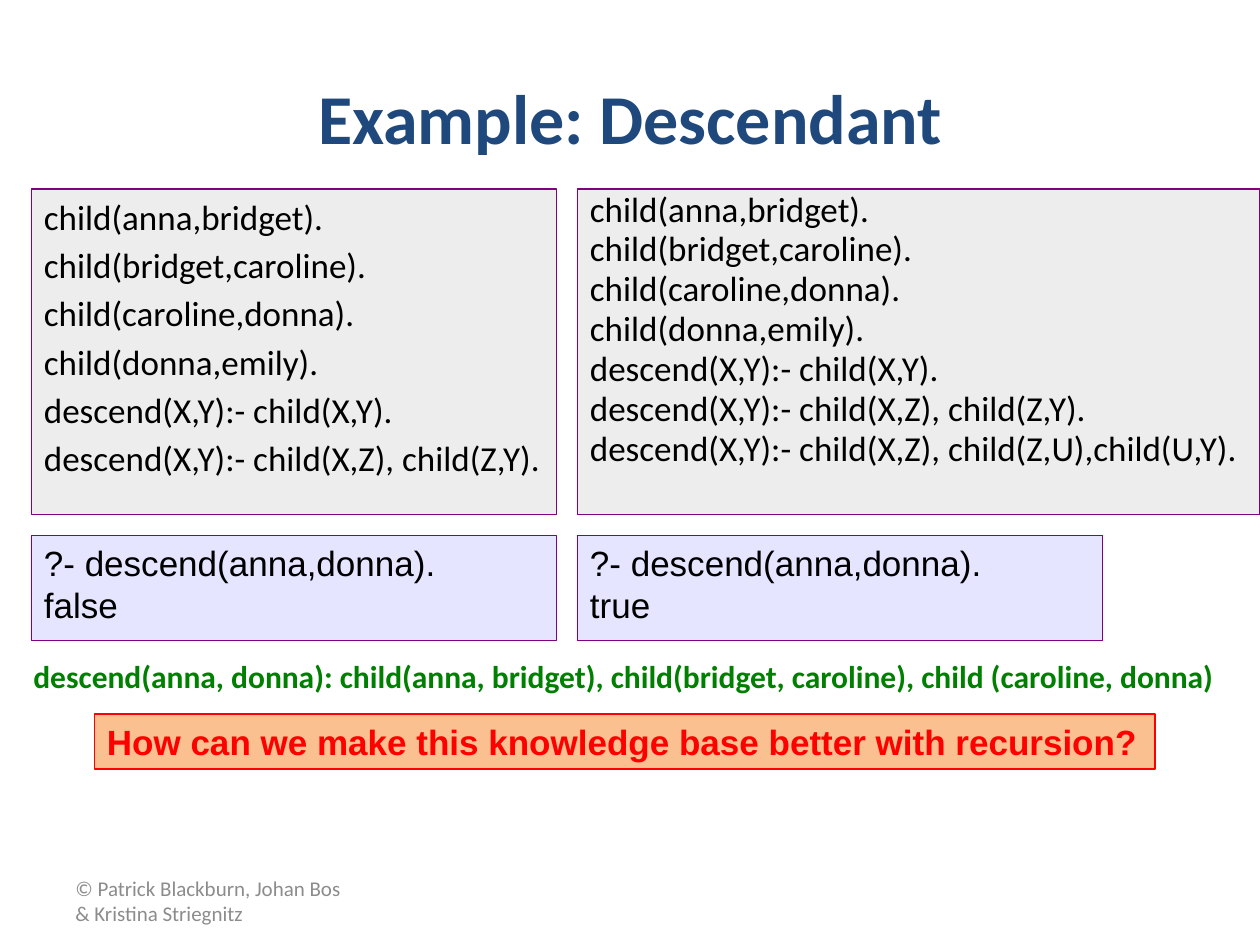
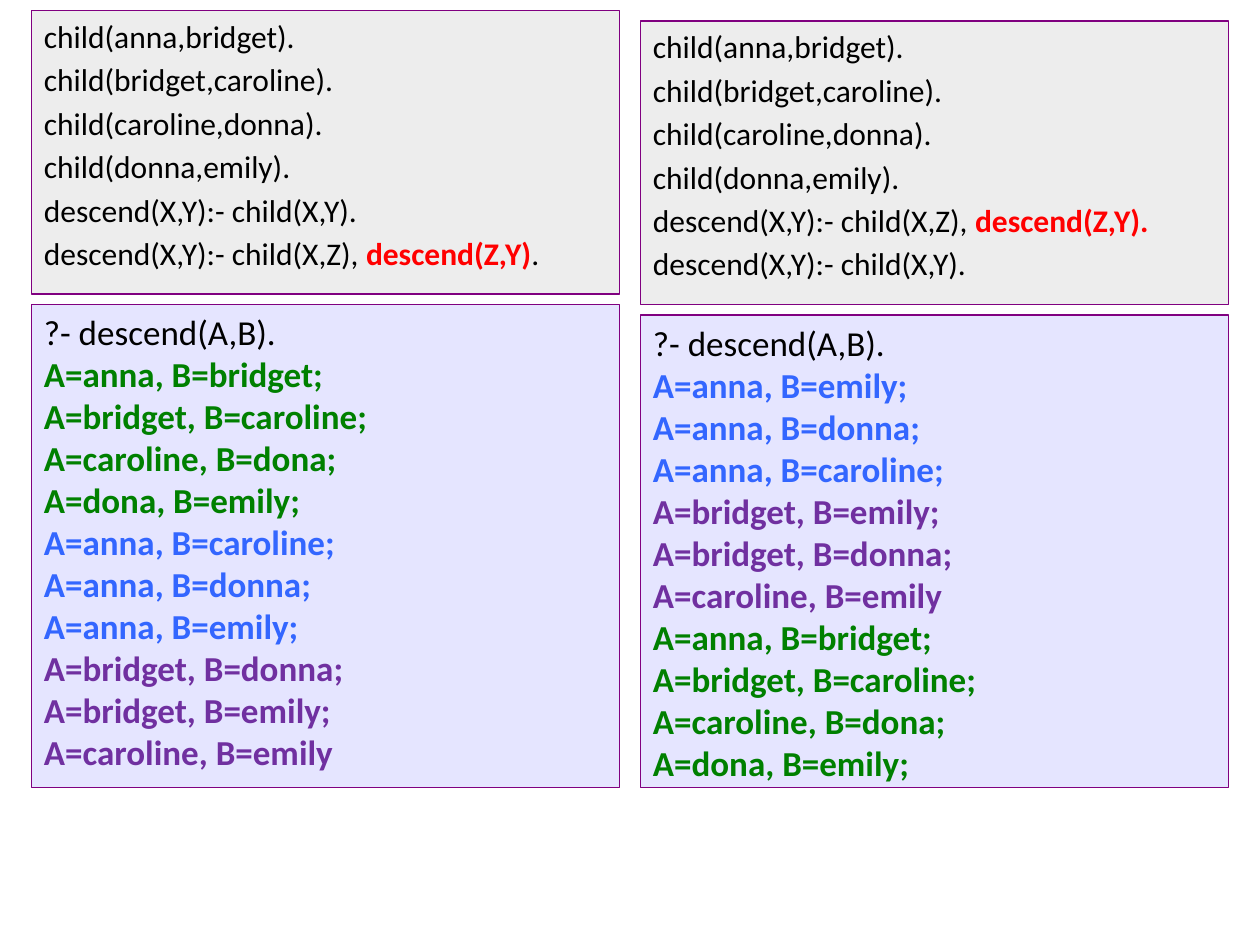
from pptx import Presentation
from pptx.util import Pt
from pptx.dml.color import RGBColor as Rgb
from pptx.enum.shapes import MSO_SHAPE as Shape
from pptx.enum.text import MSO_ANCHOR as Anchor, PP_ALIGN as Align
from pptx.oxml.ns import qn
from lxml.etree import SubElement

COLORS = {
    "black": "000000", "title": "1F497D", "foot": "8C8C8C",
    "code": "DDDDDD", "query": "CCCCFF", "ask": "FAC090",
    "edge": "800080", "red": "FF0000", "green": "008000",
    "blue": "3366FF", "purple": "7030A0",
}


def color(name):
    return Rgb.from_string(COLORS[name])


class Deck:
    body = "Calibri"
    plain = "Arial"
    hang = 27

    def __init__(self):
        self.prs = Presentation()
        self.prs.slide_width, self.prs.slide_height = Pt(720), Pt(540)

    def page(self):
        self.slide = self.prs.slides.add_slide(self.prs.slide_layouts[6])

    def style(self, font, face, size, tone, bold):
        font.name, font.size, font.bold = face, Pt(size), bold
        font.color.rgb = color(tone)

    def put(self, shape, lines, size, face=body, gap=0, pitch=None, hang=0):
        frame = shape.text_frame
        for i, line in enumerate(lines):
            para = frame.add_paragraph() if i else frame.paragraphs[0]
            para.alignment = Align.LEFT
            para.space_before = Pt(gap)
            if pitch:
                para.line_spacing = pitch
            if hang:
                props = para._p.get_or_add_pPr()
                props.set("marL", str(Pt(hang)))
                props.set("indent", str(-Pt(hang)))
            parts = [(line, "black", False)] if isinstance(line, str) else line
            self.style(para.font, face, size, *parts[0][1:])
            for text, *look in parts:
                run = para.add_run()
                run.text = text
                if look != list(parts[0][1:]):
                    self.style(run.font, face, size, *look)

    def text(self, box, line, size, wrap=True, anchor=Anchor.TOP):
        shape = self.slide.shapes.add_textbox(*map(Pt, box))
        shape.text_frame.word_wrap = wrap
        shape.text_frame.vertical_anchor = anchor
        self.put(shape, [[line]], size)
        return shape

    def title(self, text):
        shape = self.text((36, 21.6, 648, 90), (text, "title", True), 40,
                          anchor=Anchor.MIDDLE)
        shape.text_frame.paragraphs[0].alignment = Align.CENTER

    def footer(self, text):
        self.text((36, 500.5, 168, 28.75), (text, "foot", False), 12,
                  anchor=Anchor.MIDDLE)

    def panel(self, box, fill, edge="edge", alpha=None):
        shape = self.slide.shapes.add_shape(Shape.RECTANGLE, *map(Pt, box))
        shape.shadow.inherit = False
        shape.fill.solid()
        shape.fill.fore_color.rgb = color(fill)
        if alpha:
            tint = shape._element.spPr.find(qn("a:solidFill"))[0]
            SubElement(tint, qn("a:alpha")).set("val", str(alpha * 1000))
        shape.line.color.rgb = color(edge)
        shape.line.width = Pt(0.75)
        shape.text_frame.word_wrap = True
        shape.text_frame.vertical_anchor = Anchor.TOP
        return shape

    def code(self, box, lines, size, pitch=None):
        self.put(self.panel(box, "code", alpha=50), lines, size,
                 gap=size * 0.18, pitch=pitch, hang=self.hang)

    def query(self, box, lines, face=body):
        self.put(self.panel(box, "query", alpha=50), lines, 20, face,
                 hang=self.hang)

    def ask(self, box, text):
        self.put(self.panel(box, "ask", "red"), [[(text, "red", True)]],
                 20, self.plain)


def answers(*groups):
    return ["?- descend(A,B)."] + [
        [(f"A={a}, B={b}", tone, True)]
        for tone, pairs in groups for a, b in pairs]


facts = [f"child({a},{b})." for a, b in (
    ("anna", "bridget"), ("bridget", "caroline"),
    ("caroline", "donna"), ("donna", "emily"))]
base = "descend(X,Y):- child(X,Y)."
step = "descend(X,Y):- child(X,Z), "
two = step + "child(Z,Y)."
three = step + "child(Z,U),child(U,Y)."

deck = Deck()

deck.page()
deck.footer("© Patrick Blackburn, Johan Bos & Kristina Striegnitz")
deck.title("Example: Descendant")
goal = "?- descend(anna,donna)."
for x, wide, rules, pitch, reply in (
        (18, 300, [base, two], None, "false"),
        (330, 390, [base, two, three], 0.8, "true")):
    deck.code((x, 108, wide, 186), facts + rules, 20, pitch)
    deck.query((x, 306, 300, 60), [goal, reply], deck.plain)
deck.text((12, 372, 696, 29), (
    "descend(anna, donna): child(anna, bridget), child(bridget, caroline), "
    "child (caroline, donna)", "green", True), 18, wrap=False)
deck.ask((54, 408, 606, 31.5),
         "How can we make this knowledge base better with recursion?")

deck.page()
near = ("green", [("anna", "bridget;"), ("bridget", "caroline;"),
                  ("caroline", "dona;"), ("dona", "emily;")])
anna = [("anna", "caroline;"), ("anna", "donna;"), ("anna", "emily;")]
kin = [("bridget", "donna;"), ("bridget", "emily;")]
last = [("caroline", "emily")]
first = answers(near, ("blue", anna), ("purple", kin + last))
deep = answers(("blue", anna[::-1]), ("purple", kin[::-1] + last), near)
lead = (step, "black", False)
tail = [lead, ("descend(Z,Y)", "red", True), (".", "black", False)]
head = [lead, ("descend(Z,Y).", "red", True)]
for x, top, rules, found in (
        (18, 6, [base, tail], first), (366, 12, [head, base], deep)):
    low = top + 168
    deck.query((x, low, 336, 450 - low), found)
    deck.code((x, top, 336, 162), facts + rules, 18)

deck.prs.save("out.pptx")
